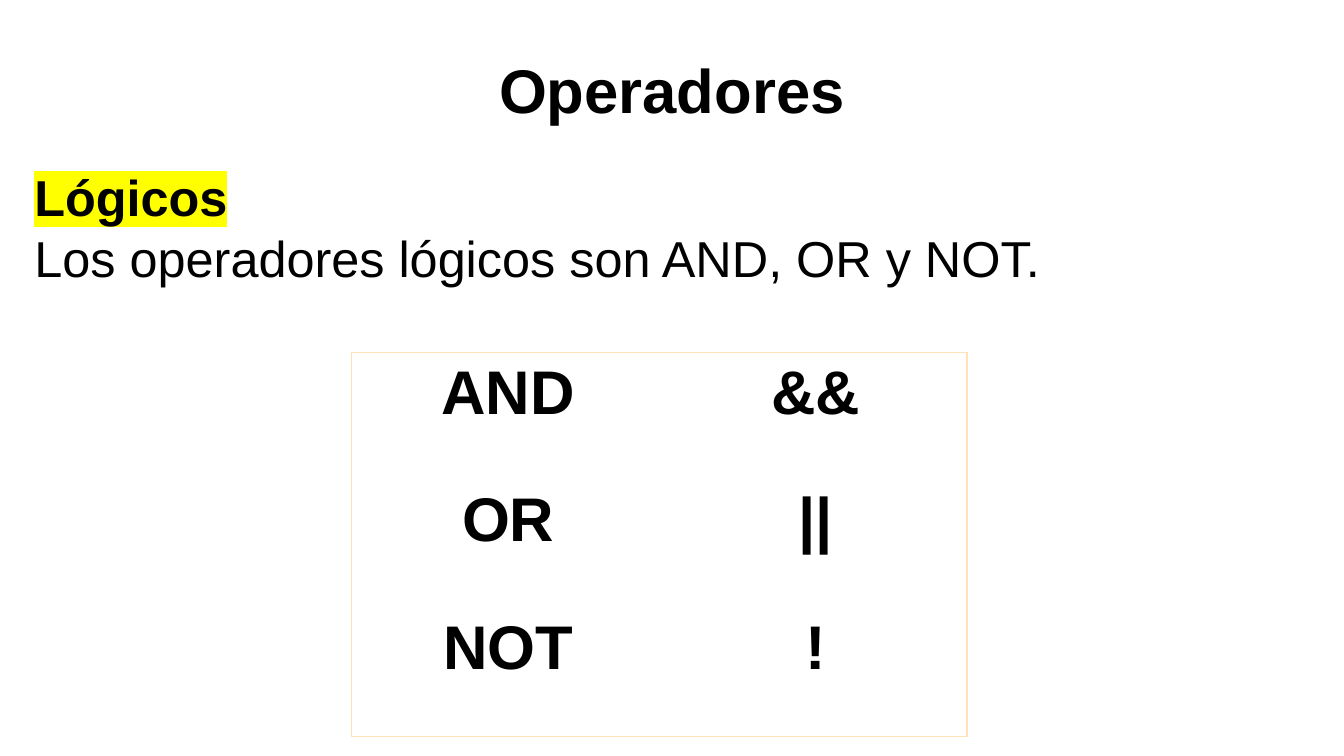
from dataclasses import dataclass

from lxml import etree
from pptx import Presentation
from pptx.dml.color import RGBColor
from pptx.enum.text import PP_ALIGN
from pptx.oxml.ns import qn
from pptx.util import Pt

LEFT, CENTER = PP_ALIGN.LEFT, PP_ALIGN.CENTER
SCALE = 6350


@dataclass(frozen=True)
class Theme:
    font: str = "Arial"
    ink: str = "000000"
    mark: str = "FFFF00"
    edge: str = "FFE2BA"
    pale: str = "FFFFFF"
    veil: int = 20000
    large: int = 33
    body: int = 27
    rule: float = 0.75


THEME = Theme()
ROWS = [("AND", "&&"), ("OR", "||"), ("NOT", "!")]


def px(n):
    return n * SCALE


def write(para, text, size=THEME.body, bold=False, align=LEFT, mark=None):
    para.alignment = align
    run = para.add_run()
    run.text = text
    font = run.font
    font.size, font.bold, font.name = Pt(size), bold, THEME.font
    font.color.rgb = RGBColor.from_string(THEME.ink)
    if mark:
        light = etree.Element(qn("a:highlight"))
        etree.SubElement(light, qn("a:srgbClr"), val=mark)
        run._r.rPr.find(qn("a:solidFill")).addnext(light)


def frame(slide, box):
    text = slide.shapes.add_textbox(*map(px, box)).text_frame
    text.word_wrap = True
    text.margin_left = text.margin_right = px(10)
    text.margin_top = text.margin_bottom = px(6)
    return text


def title(slide, box):
    text = frame(slide, box)
    write(text.paragraphs[0], "Operadores", size=THEME.large, bold=True, align=CENTER)


def intro(slide, box):
    text = frame(slide, box)
    write(text.paragraphs[0], "Lógicos", bold=True, mark=THEME.mark)
    write(text.add_paragraph(), "Los operadores lógicos son AND, OR y NOT.")


def shade(cell):
    cell.fill.solid()
    cell.fill.fore_color.rgb = RGBColor.from_string(THEME.pale)
    color = cell._tc.tcPr.find(".//" + qn("a:srgbClr"))
    etree.SubElement(color, qn("a:alpha"), val=str(THEME.veil))


def border(cell, colors):
    props = cell._tc.get_or_add_tcPr()
    for spot, (side, color) in enumerate(colors.items()):
        line = etree.Element(qn(f"a:ln{side}"), w=str(Pt(THEME.rule)))
        if color:
            fill = etree.SubElement(line, qn("a:solidFill"))
            etree.SubElement(fill, qn("a:srgbClr"), val=color)
        else:
            etree.SubElement(line, qn("a:noFill"))
        props.insert(spot, line)


def grid(slide, box, widths):
    table = slide.shapes.add_table(len(ROWS), len(widths), *map(px, box)).table
    table.first_row = table.horz_banding = False
    for col, width in zip(table.columns, widths):
        col.width = px(width)
    for r, words in enumerate(ROWS):
        for c, word in enumerate(words):
            cell = table.cell(r, c)
            if r == 1:
                shade(cell)
            else:
                cell.fill.background()
            cell.margin_left = cell.margin_right = px(12)
            cell.margin_top = cell.margin_bottom = px(6)
            write(cell.text_frame.paragraphs[0], word,
                  size=THEME.large, bold=True, align=CENTER)
            border(cell, {
                "L": THEME.edge if c == 0 else None,
                "R": THEME.edge if c == len(widths) - 1 else None,
                "T": THEME.edge if r == 0 else None,
                "B": (THEME.pale, None, THEME.edge)[r],
            })


def main():
    deck = Presentation()
    deck.slide_width, deck.slide_height = px(1440), px(810)
    slide = deck.slides.add_slide(deck.slide_layouts[6])
    title(slide, (0, 50, 1440, 91))
    intro(slide, (27, 172, 1390, 410))
    grid(slide, (377, 378, 659, 411), (335, 324))
    deck.save("out.pptx")


if __name__ == "__main__":
    main()
